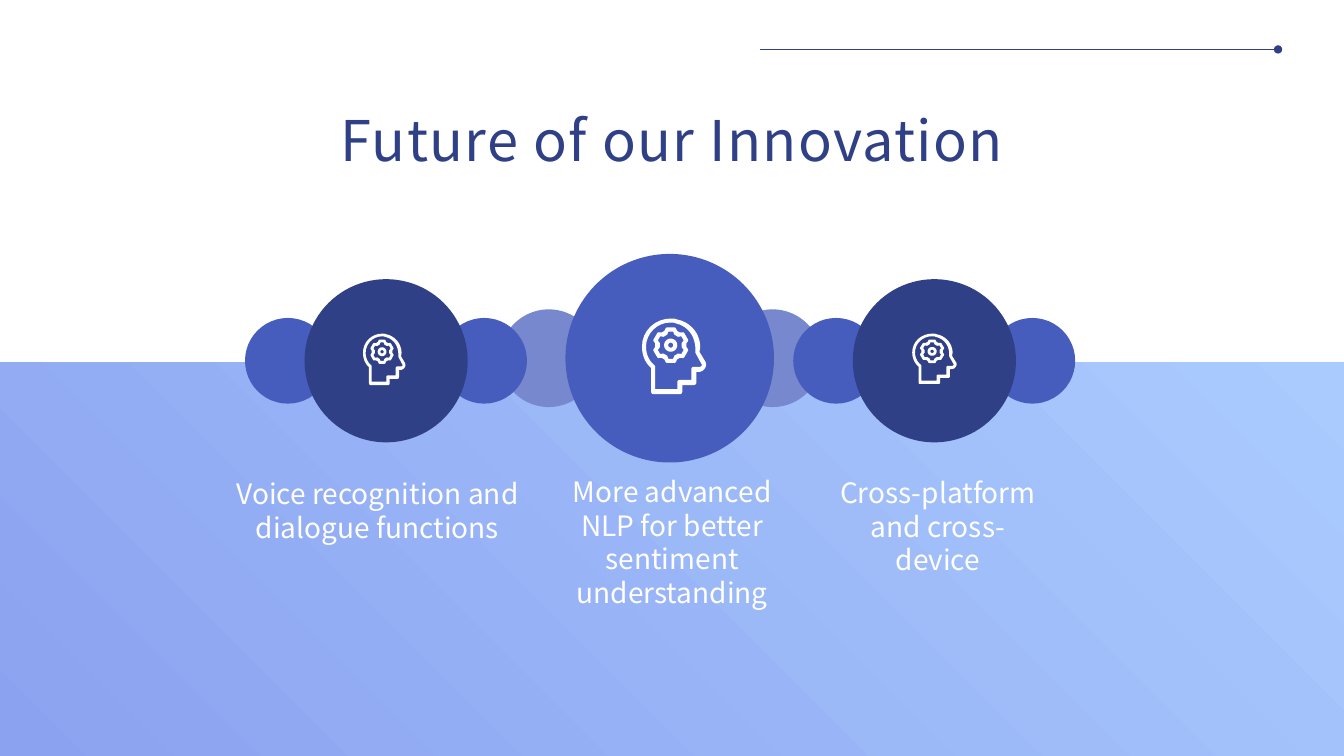
import math

from lxml import etree
from pptx import Presentation
from pptx import util as u
from pptx.dml.color import RGBColor
from pptx.enum import shapes as kinds, text
from pptx.oxml import ns

NAVY = RGBColor(0x30, 0x40, 0x86)
BLUE = RGBColor(0x47, 0x5D, 0xBD)
LAVENDER = RGBColor(0x78, 0x88, 0xCE)
PERIWINKLE = RGBColor(0x8B, 0xA2, 0xF0)
SKY = RGBColor(0xAA, 0xCB, 0xFE)
WHITE = RGBColor(0xFF, 0xFF, 0xFF)
FONT = "Noto Sans CJK SC"

# Head icon on a 65 x 75 grid: pairs are corners, sixes are Bezier curves.
ICON_WIDTH, ICON_HEIGHT = 65, 75
HEAD_OUTER = [
    (29, 0), (13, 0, 0, 12, 0, 28), (0, 36, 3, 44, 9, 49), (9, 72),
    (9, 74, 10, 75, 11, 75), (38, 75), (39, 75, 40, 74, 40, 72), (40, 66),
    (51, 66), (53, 66, 54, 65, 54, 63), (54, 53), (57, 53),
    (62, 52, 65, 47, 63, 43), (57, 33), (58, 29, 58, 26, 57, 22),
    (55, 12, 46, 3, 35, 1), (33, 0, 31, 0, 29, 0)]
HEAD_INNER = [
    (28, 4), (30, 4, 32, 4, 34, 5), (43, 7, 50, 14, 52, 23),
    (53, 26, 53, 30, 53, 33), (53, 34), (59, 45), (60, 46, 59, 48, 57, 48),
    (51, 48), (50, 48, 49, 49, 49, 50), (49, 61), (37, 61),
    (36, 61, 35, 62, 35, 63), (35, 70), (13, 70), (13, 48),
    (13, 47, 13, 47, 12, 46), (7, 42, 4, 35, 4, 28), (4, 15, 15, 4, 28, 4)]
GEAR_CENTER = (28.5, 26.5)
# Half a tooth as (degrees from its axis, radius)
GEAR_OUTER = [(12, 18), (16, 17.8), (24, 15.5)]
GEAR_INNER = [(10, 13.7), (19, 11)]


def flatten(segments, steps=8):
    """Turn corners and Bezier curves into a list of points."""
    points = []
    for segment in segments:
        if len(segment) == 2:
            points.append(segment)
            continue
        controls = [points[-1], segment[:2], segment[2:4], segment[4:]]
        for step in range(1, steps + 1):
            t = step / steps
            weights = ((1 - t) ** 3, 3 * t * (1 - t) ** 2, 3 * t * t * (1 - t), t ** 3)
            points.append(tuple(sum(w * c[axis] for w, c in zip(weights, controls))
                                for axis in (0, 1)))
    return points


def polar(degrees, radius):
    """Return the point at an angle and radius around the gear centre."""
    angle = math.radians(degrees)
    return (GEAR_CENTER[0] + radius * math.sin(angle),
            GEAR_CENTER[1] - radius * math.cos(angle))


def gear(half_tooth):
    """Return the outline of a gear with six equal teeth."""
    tooth = [(-angle, radius) for angle, radius in reversed(half_tooth)] + half_tooth
    return [polar(turn + angle, radius)
            for turn in range(0, 360, 60) for angle, radius in tooth]


def circle(radius):
    """Return a circle around the gear centre as points."""
    return [polar(degrees, radius) for degrees in range(0, 360, 10)]


def paint(shape, color):
    """Give a shape a plain fill without line or shadow."""
    shape.shadow.inherit = False
    shape.line.fill.background()
    shape.fill.solid()
    shape.fill.fore_color.rgb = color


def add_circle(container, left, top, size, color):
    """Add a filled circle."""
    paint(container.add_shape(kinds.MSO_SHAPE.OVAL, u.Pt(left), u.Pt(top),
                              u.Pt(size), u.Pt(size)), color)


def add_icon(container, left, top, width, height):
    """Draw a head with a gear inside the given box."""
    def place(points):
        return [(u.Pt(left + x * width / ICON_WIDTH), u.Pt(top + y * height / ICON_HEIGHT))
                for x, y in points]

    for outer, inner in ((flatten(HEAD_OUTER), flatten(HEAD_INNER)),
                         (gear(GEAR_OUTER), gear(GEAR_INNER)),
                         (circle(6.5), circle(2.5))):
        outline, hole = place(outer), place(inner)
        builder = container.build_freeform(*outline[0])
        builder.add_line_segments(outline[1:], close=True)
        builder.move_to(*hole[0])
        builder.add_line_segments(hole[1:], close=True)
        paint(builder.convert_to_shape(), WHITE)


def add_cluster(slide, left, top, width, height, inset, small, colors, icon):
    """Draw two small circles behind a large one, whose icon box is relative to it."""
    container = slide.shapes.add_group_shape().shapes
    side_color, main_color = colors
    small_top = top + (height - small) / 2
    for small_left in (left, left + width - small):
        add_circle(container, small_left, small_top, small, side_color)
    add_circle(container, left + inset, top, height, main_color)
    icon_left, icon_top, icon_width, icon_height = icon
    add_icon(container, left + inset + icon_left, top + icon_top, icon_width, icon_height)


def write(shape, words, size, color, align, line_height, spacing=0):
    """Fill a shape with one formatted paragraph."""
    frame = shape.text_frame
    frame.word_wrap = True
    frame.auto_size = text.MSO_AUTO_SIZE.NONE
    frame.vertical_anchor = text.MSO_ANCHOR.TOP
    paragraph = frame.paragraphs[0]
    paragraph.alignment = align
    paragraph.line_spacing = u.Pt(line_height)
    run = paragraph.add_run()
    run.text = words
    run.font.size = u.Pt(size)
    run.font.name = FONT
    run.font.color.rgb = color
    properties = run.font._element
    if spacing:
        properties.set("spc", str(spacing * 100))
    etree.SubElement(properties, ns.qn("a:ea")).set("typeface", FONT)


def add_caption(slide, left, top, width, height, words):
    """Add a centred white caption."""
    box = slide.shapes.add_textbox(u.Pt(left), u.Pt(top), u.Pt(width), u.Pt(height))
    write(box, words, 20, WHITE, text.PP_ALIGN.CENTER, 24)


def add_band(slide, left, top, width, height):
    """Add the diagonal gradient band."""
    band = slide.shapes.add_shape(kinds.MSO_SHAPE.RECTANGLE, u.Pt(left), u.Pt(top),
                                  u.Pt(width), u.Pt(height))
    paint(band, SKY)
    band.fill.gradient()
    band.fill.gradient_angle = 45
    for stop, color in zip(band.fill.gradient_stops, (PERIWINKLE, SKY)):
        stop.color.rgb = color


def add_header(slide, left, top, width, height):
    """Place the title and the rule with a dot above it."""
    title = slide.shapes.title
    title.left, title.top, title.width, title.height = map(u.Pt, (left, top, width, height))
    write(title, "Future of our Innovation", 40, NAVY, text.PP_ALIGN.LEFT, 48, spacing=1)
    rule_left, rule_top = left + 306.7, top - 36.7
    rule = slide.shapes.add_connector(kinds.MSO_CONNECTOR.STRAIGHT, u.Pt(rule_left),
                                      u.Pt(rule_top), u.Pt(rule_left + 370), u.Pt(rule_top))
    rule.line.color.rgb = NAVY
    rule.line.width = u.Pt(0.5)
    etree.SubElement(rule.line._get_or_add_ln(), ns.qn("a:tailEnd")).set("type", "oval")
    etree.SubElement(rule._element.spPr, ns.qn("a:effectLst"))


def build():
    """Build and save the slide."""
    presentation = Presentation()
    presentation.slide_width, presentation.slide_height = u.Pt(960), u.Pt(540)
    slide = presentation.slides.add_slide(presentation.slide_layouts[5])
    add_band(slide, 0, 259.2, 960, 280.8)
    add_cluster(slide, 357.1, 181.4, 229.7, 149, 46.8, 69.8, (LAVENDER, BLUE),
                (54.7, 46.1, 46.8, 54))
    for left, icon in ((566.6, (42.5, 38.9, 32.4, 36)), (175, (41.8, 38.9, 31, 36.7))):
        add_cluster(slide, left, 199.4, 201.4, 116.6, 42.5, 61.2, (BLUE, NAVY), icon)
    add_caption(slide, 158.4, 337, 222.5, 80, "Voice recognition and dialogue functions")
    add_caption(slide, 386.6, 335.5, 187.2, 104.4,
                "More advanced NLP for better sentiment understanding")
    add_caption(slide, 590.4, 336.2, 159.1, 80, "Cross-platform and cross-device")
    add_header(slide, 236.2, 72, 591.1, 55.4)
    presentation.save("out.pptx")


build()
